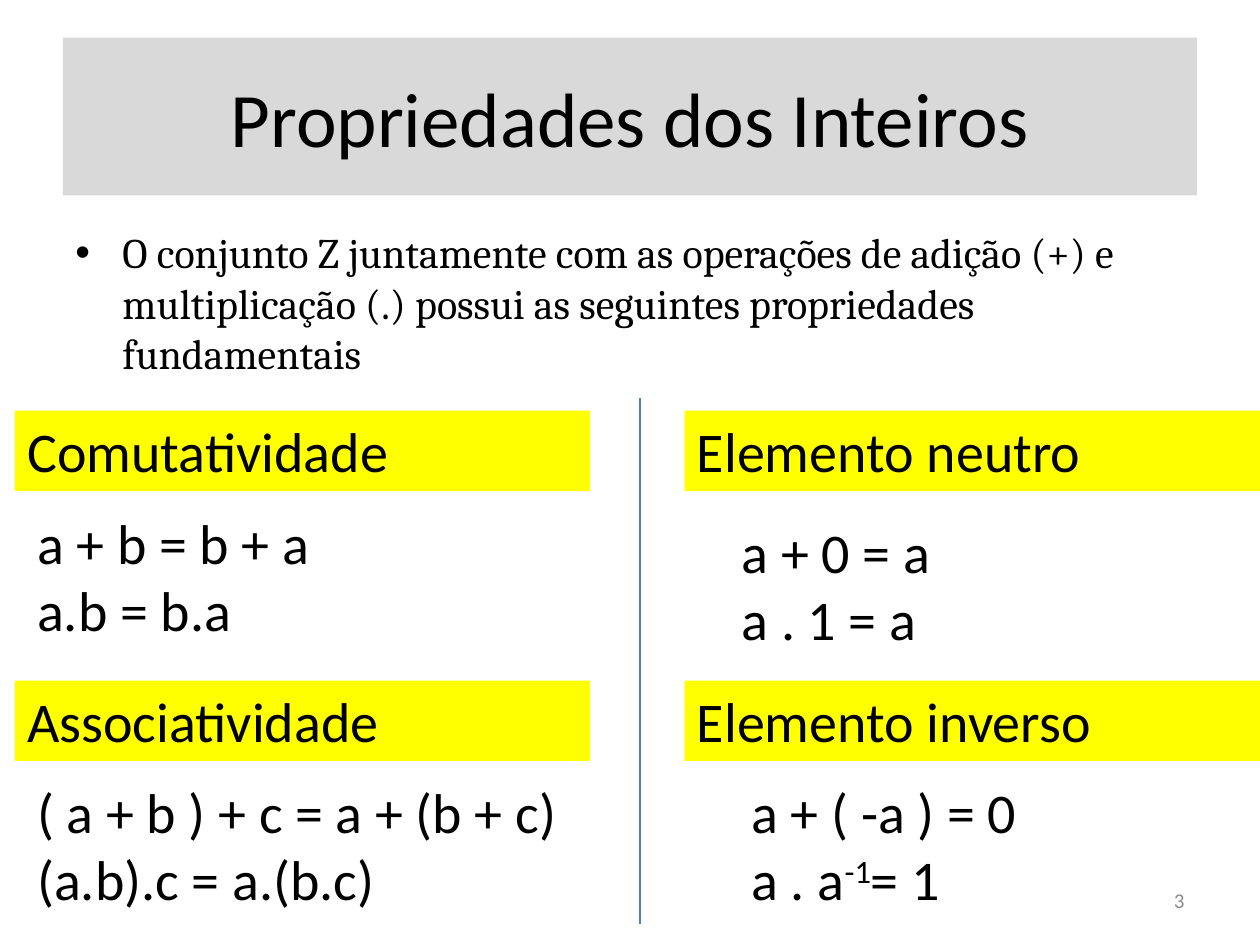
from lxml.etree import SubElement
from pptx import Presentation
from pptx.dml.color import RGBColor
from pptx.enum.shapes import MSO_CONNECTOR as Connector
from pptx.enum.text import MSO_ANCHOR as Anchor, PP_ALIGN as Align
from pptx.oxml.ns import qn
from pptx.util import Cm, Pt

COLORS = {"text": "000000", "title": "D9D9D9", "heading": "FFFF00",
          "divider": "4B7EBC", "number": "8C8C8C"}

TITLE = "Propriedades dos Inteiros"
INTRO = ("O conjunto Z juntamente com as operações de adição (+) e "
         "multiplicação (.) possui as seguintes propriedades fundamentais")
PAGE_NUMBER = "3"

# Each property: heading, formula lines, formula left, top and width in cm.
# A line given as a tuple alternates normal and superscript parts.
PROPERTIES = [
    [("Comutatividade", ["a + b = b + a", "a.b = b.a"], (0.5, 10.13, 10)),
     ("Elemento neutro", ["a + 0 = a", "a . 1 = a"], (14.7, 10.31, 13.6))],
    [("Associatividade", ["( a + b ) + c = a + (b + c)", "(a.b).c = a.(b.c)"],
      (0.5, 15.55, 11.8)),
     ("Elemento inverso", ["a + ( -a ) = 0", ("a . a", "-1", "= 1")],
      (14.9, 15.55, 13.6))],
]
HEADING_LEFTS = (0.3, 13.8)
HEADING_TOPS = (8.28, 13.72)
HEADING_SIZE = (11.6, 1.62)
FORMULA_HEIGHT = 3


def add_text(page, place, lines, size=32, font="Calibri", color="text",
             fill=None, align=Align.LEFT, anchor=Anchor.TOP):
    box = page.shapes.add_textbox(*map(Cm, place))
    if fill:
        box.fill.solid()
        box.fill.fore_color.rgb = RGBColor.from_string(COLORS[fill])
    frame = box.text_frame
    frame.word_wrap = True
    frame.vertical_anchor = anchor
    style = {"size": Pt(size), "name": font}
    for index, line in enumerate(lines):
        para = frame.paragraphs[0] if index == 0 else frame.add_paragraph()
        para.alignment = align
        parts = (line,) if isinstance(line, str) else line
        for position, part in enumerate(parts):
            span = para.add_run()
            span.text = part
            for name, value in style.items():
                setattr(span.font, name, value)
            span.font.color.rgb = RGBColor.from_string(COLORS[color])
            if position % 2:
                span.font._element.set("baseline", "30000")
    return box


def add_bullet(para, indent):
    props = para._p.get_or_add_pPr()
    props.set("marL", str(indent))
    props.set("indent", str(-indent))
    SubElement(props, qn("a:buFont"), typeface="Arial")
    SubElement(props, qn("a:buChar"), char="•")


def add_divider(page, x, top, bottom):
    line = page.shapes.add_connector(Connector.STRAIGHT, Cm(x), Cm(top), Cm(x), Cm(bottom))
    line.line.color.rgb = RGBColor.from_string(COLORS["divider"])
    line.line.width = Pt(0.75)
    SubElement(line._element.spPr, qn("a:effectLst"))


def main():
    deck = Presentation()
    deck.slide_width, deck.slide_height = Cm(25.4), Cm(19.05)
    page = deck.slides.add_slide(deck.slide_layouts[6])

    add_text(page, (1.27, 0.76, 22.86, 3.18), [TITLE], size=44, fill="title",
             align=Align.CENTER, anchor=Anchor.MIDDLE)
    intro = add_text(page, (1.27, 4.45, 23.24, 14.6), [INTRO], size=24, font="Cambria")
    para = intro.text_frame.paragraphs[0]
    para.space_before = Pt(4.8)
    add_bullet(para, Cm(0.95))

    for top, row in zip(HEADING_TOPS, PROPERTIES):
        for left, (heading, formulas, (x, y, width)) in zip(HEADING_LEFTS, row):
            add_text(page, (left, top, *HEADING_SIZE), [heading], fill="heading")
            add_text(page, (x, y, width, FORMULA_HEIGHT), formulas)

    add_divider(page, 12.9, 8.03, 18.62)
    add_text(page, (18.2, 17.65, 5.93, 1.01), [PAGE_NUMBER], size=12, color="number",
             align=Align.RIGHT, anchor=Anchor.MIDDLE)
    deck.save("out.pptx")


if __name__ == "__main__":
    main()
